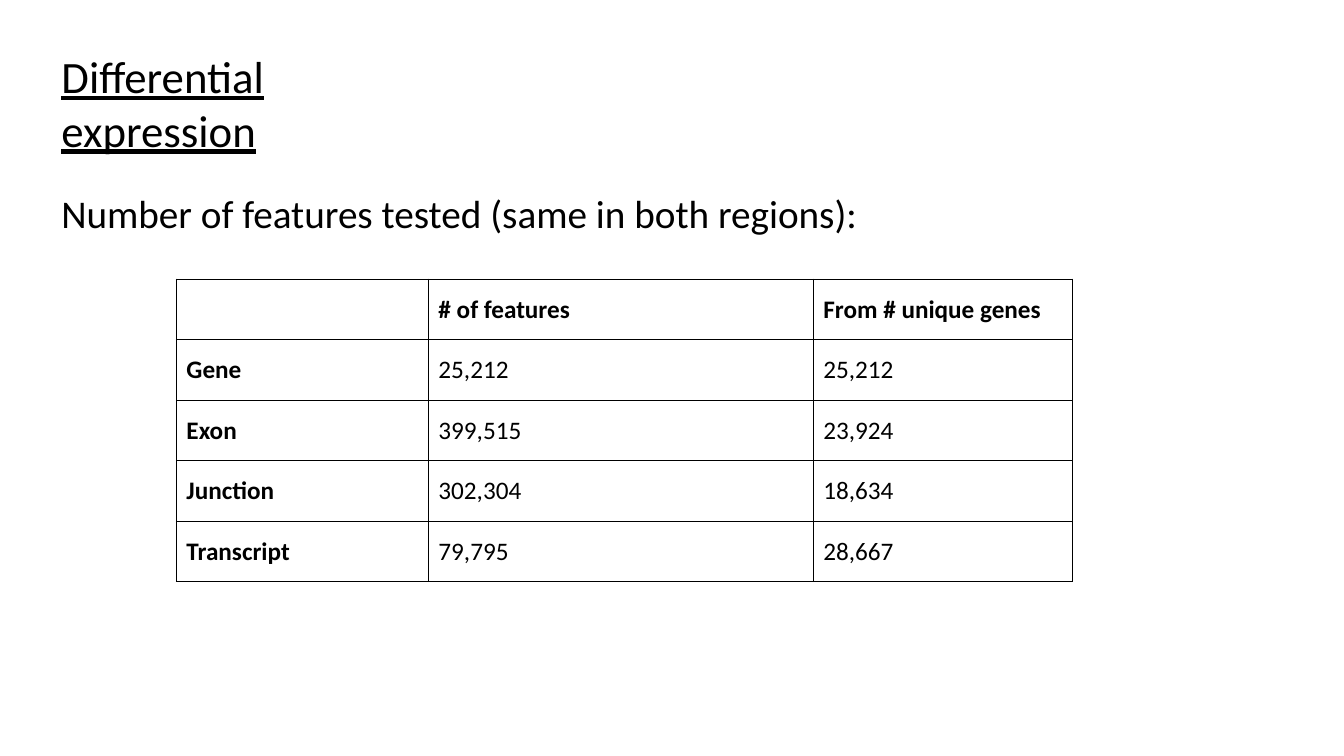
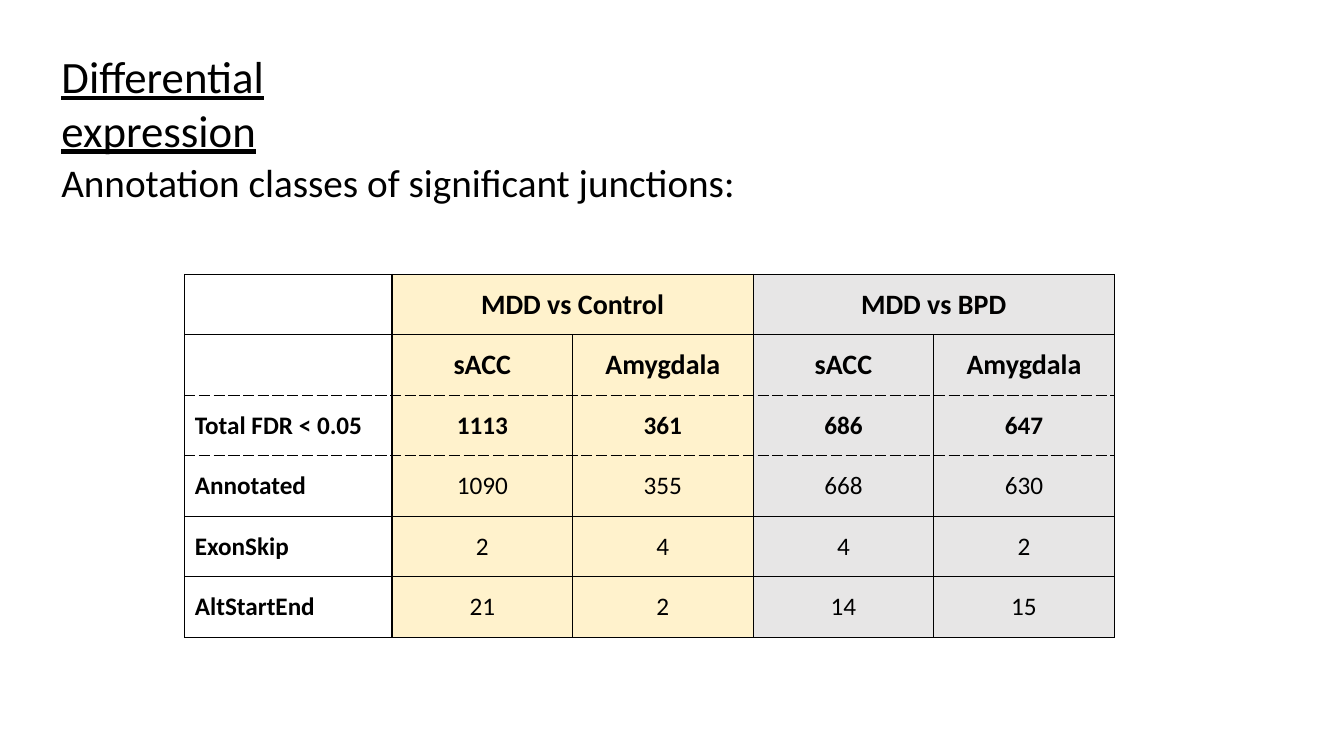
from lxml import etree
from pptx import Presentation
from pptx.dml.color import RGBColor
from pptx.enum.text import MSO_ANCHOR as Anchor, MSO_AUTO_SIZE as AutoSize, PP_ALIGN as Align
from pptx.oxml.ns import qn
from pptx.util import Pt

COLORS = {"ink": "000000", "cream": "FFF2CC", "gray": "E7E6E6"}
FONT = "Calibri"
TITLE = "Differential expression"
TITLE_ONLY = 5
LEFT = 36.7
ROW_HEIGHT = 43.2

SLIDES = [
    {
        "subtitle": "Number of features tested (same in both regions):",
        "subtitle_area": (LEFT, 131.8, 589, 41),
        "origin": (126, 199.5),
        "widths": [180, 275, 185],
        "rows": [
            ["", "# of features", "From # unique genes"],
            ["Gene", "25,212", "25,212"],
            ["Exon", "399,515", "23,924"],
            ["Junction", "302,304", "18,634"],
            ["Transcript", "79,795", "28,667"],
        ],
        "fills": [None] * 3,
        "align": Align.LEFT,
        "header_size": 18,
        "header_rows": 1,
        "bold_rows": 1,
        "dashed_after": [],
        "merges": [],
    },
    {
        "subtitle": "Annotation classes of significant junctions:",
        "subtitle_area": (LEFT, 109.4, 502, 41),
        "origin": (132, 196),
        "widths": [148] + [129] * 4,
        "rows": [
            ["", "MDD vs Control", "", "MDD vs BPD", ""],
            ["", "sACC", "Amygdala", "sACC", "Amygdala"],
            ["Total FDR < 0.05", "1113", "361", "686", "647"],
            ["Annotated", "1090", "355", "668", "630"],
            ["ExonSkip", "2", "4", "4", "2"],
            ["AltStartEnd", "21", "2", "14", "15"],
        ],
        "fills": [None, "cream", "cream", "gray", "gray"],
        "align": Align.CENTER,
        "header_size": 20,
        "header_rows": 2,
        "bold_rows": 3,
        "dashed_after": [1, 2],
        "merges": [(1, 2), (3, 4)],
    },
]


def write(frame, text, align=Align.LEFT, **formats):
    para = frame.paragraphs[0]
    para.alignment = align
    if not text:
        return
    span = para.add_run()
    span.text = text
    span.font.color.rgb = RGBColor.from_string(COLORS["ink"])
    for name, value in {"name": FONT, **formats}.items():
        setattr(span.font, name, value)


def place(box, area):
    for name, value in zip(("left", "top", "width", "height"), area):
        setattr(box, name, Pt(value))
    frame = box.text_frame
    for name, value in {"word_wrap": True, "auto_size": AutoSize.NONE,
                        "vertical_anchor": Anchor.TOP}.items():
        setattr(frame, name, value)
    return frame


def add_borders(cell, dashed_sides):
    properties = cell._tc.get_or_add_tcPr()
    for side in "LRTB":
        line = etree.SubElement(properties, qn(f"a:ln{side}"), w=str(Pt(1)))
        fill = etree.SubElement(line, qn("a:solidFill"))
        etree.SubElement(fill, qn("a:srgbClr"), val=COLORS["ink"])
        dash = "lgDash" if side in dashed_sides else "solid"
        etree.SubElement(line, qn("a:prstDash"), val=dash)


def add_grid(page, content):
    rows, widths = content["rows"], content["widths"]
    left, top = content["origin"]
    table = page.shapes.add_table(
        len(rows), len(widths), Pt(left), Pt(top),
        Pt(sum(widths)), Pt(ROW_HEIGHT * len(rows))).table
    table.first_row = table.horz_banding = False
    for column, width in zip(table.columns, widths):
        column.width = Pt(width)
    for first, last in content["merges"]:
        table.cell(0, first).merge(table.cell(0, last))

    dashed = content["dashed_after"]
    for row_index, values in enumerate(rows):
        table.rows[row_index].height = Pt(ROW_HEIGHT)
        size = content["header_size"] if row_index < content["header_rows"] else 18
        for column_index, text in enumerate(values):
            cell = table.cell(row_index, column_index)
            cell.vertical_anchor = Anchor.MIDDLE
            add_borders(cell, ("T" if row_index - 1 in dashed else "")
                        + ("B" if row_index in dashed else ""))
            color = content["fills"][column_index]
            if color:
                cell.fill.solid()
                cell.fill.fore_color.rgb = RGBColor.from_string(COLORS[color])
            else:
                cell.fill.background()
            write(cell.text_frame, text,
                  content["align"] if column_index else Align.LEFT,
                  size=Pt(size),
                  bold=row_index < content["bold_rows"] or column_index == 0)


def build_slide(deck, content):
    page = deck.slides.add_slide(deck.slide_layouts[TITLE_ONLY])
    write(place(page.shapes.title, (LEFT, 31, 300, 46)), TITLE,
          size=Pt(32), underline=True)
    area = content["subtitle_area"]
    box = page.shapes.add_textbox(*map(Pt, area))
    write(place(box, area), content["subtitle"], size=Pt(28))
    add_grid(page, content)


def main():
    deck = Presentation()
    deck.slide_width, deck.slide_height = Pt(960), Pt(540)
    for content in SLIDES:
        build_slide(deck, content)
    deck.save("out.pptx")


if __name__ == "__main__":
    main()
